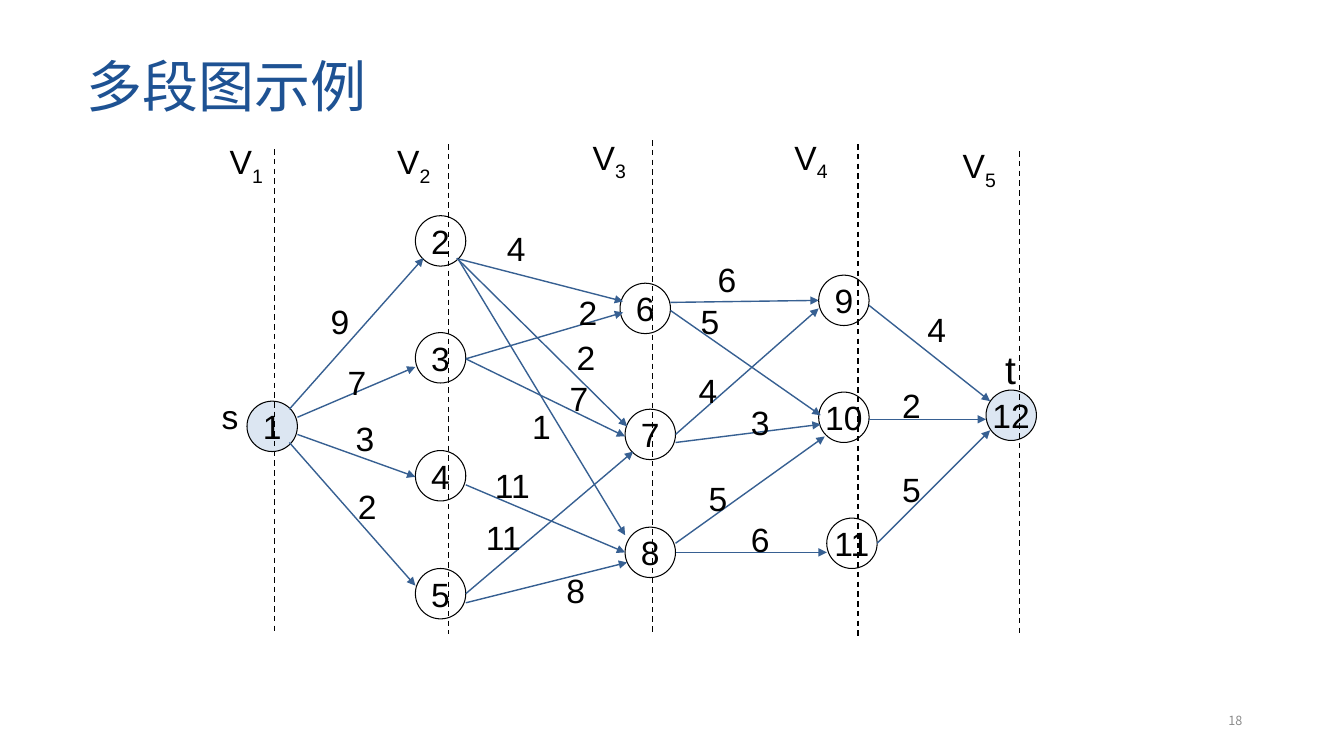
from dataclasses import dataclass
from typing import NamedTuple

from lxml.etree import SubElement
from pptx import Presentation
from pptx.dml.color import RGBColor
from pptx.enum.dml import MSO_LINE
from pptx.enum.shapes import MSO_CONNECTOR, MSO_SHAPE
from pptx.enum.text import MSO_ANCHOR, MSO_AUTO_SIZE, PP_ALIGN
from pptx.oxml.ns import qn
from pptx.shapes.connector import Connector
from pptx.slide import Slide
from pptx.text.text import TextFrame, _Paragraph, _Run
from pptx.util import Emu, Pt

EMU_PER_PX = 9144
NODE_SIZE = 50


@dataclass(frozen=True)
class Theme:
    ink: RGBColor = RGBColor(0x00, 0x00, 0x00)
    title: RGBColor = RGBColor(0x1E, 0x52, 0x93)
    edge: RGBColor = RGBColor(0x37, 0x60, 0x92)
    terminal: RGBColor = RGBColor(0xDC, 0xE6, 0xF2)
    muted: RGBColor = RGBColor(0x8C, 0x8C, 0x8C)
    latin_font: str = "Arial"
    chinese_font: str = "Noto Sans CJK SC"
    title_size: int = 40
    target_size: int = 28
    graph_size: int = 24
    number_size: int = 9
    outline: float = 0.75
    stroke: float = 1


THEME = Theme()


class Box(NamedTuple):
    left: int
    top: int
    width: int
    height: int


class Node(NamedTuple):
    name: str
    left: int
    top: int
    terminal: bool = False


class Edge(NamedTuple):
    start: tuple[int, int]
    end: tuple[int, int]
    weight: str
    label: tuple[int, int]


class Stage(NamedTuple):
    index: str
    label: tuple[int, int]
    divider: int
    top: int
    bottom: int = 629


NODES = [
    *(Node(str(2 + row), 412, 214 + row * 350 // 3) for row in range(4)),
    Node("6", 615, 281),
    Node("7", 620, 406),
    Node("8", 620, 523),
    Node("9", 812, 273),
    Node("10", 812, 389),
    Node("11", 820, 514),
    Node("1", 245, 398, True),
    Node("12", 978, 387, True),
]

EDGES = [
    Edge((287, 406), (420, 256), "9", (318, 294)),
    Edge((295, 414), (412, 364), "7", (335, 354)),
    Edge((295, 431), (412, 473), "3", (343, 410)),
    Edge((287, 439), (412, 581), "2", (345, 477)),
    Edge((455, 257), (618, 299), "4", (493, 221)),
    Edge((453, 256), (622, 423), "2", (562, 329)),
    Edge((455, 258), (620, 531), "1", (518, 398)),
    Edge((462, 356), (618, 310), "2", (564, 285)),
    Edge((462, 356), (620, 433), "7", (555, 370)),
    Edge((462, 481), (620, 548), "11", (481, 456)),
    Edge((462, 598), (622, 558), "8", (552, 560)),
    Edge((462, 589), (628, 448), "11", (472, 508)),
    Edge((665, 300), (812, 298), "6", (702, 252)),
    Edge((665, 308), (814, 412), "5", (685, 294)),
    Edge((670, 431), (812, 306), "4", (683, 362)),
    Edge((670, 439), (814, 421), "3", (735, 394)),
    Edge((670, 539), (818, 433), "5", (693, 469)),
    Edge((670, 548), (820, 548), "6", (735, 510)),
    Edge((862, 303), (982, 398), "4", (910, 302)),
    Edge((862, 416), (978, 416), "2", (885, 377)),
    Edge((870, 539), (982, 427), "5", (885, 460)),
]

STAGES = [
    Stage("1", (218, 135), 272, 148),
    Stage("2", (384, 135), 445, 143),
    Stage("3", (578, 131), 647, 139),
    Stage("4", (778, 131), 851, 143, 631),
    Stage("5", (945, 139), 1011, 150),
]


def px(length: int) -> Emu:
    return Emu(length * EMU_PER_PX)


def add_run(
    paragraph: _Paragraph,
    text: str,
    size: int = THEME.graph_size,
    color: RGBColor = THEME.ink,
    font: str = THEME.latin_font,
) -> _Run:
    run = paragraph.add_run()
    run.text = text
    run.font.size = Pt(size)
    run.font.color.rgb = color
    run.font.name = font
    return run


def add_text_frame(slide: Slide, box: Box, wrap: bool = False) -> TextFrame:
    frame = slide.shapes.add_textbox(*map(px, box)).text_frame
    frame.word_wrap = wrap
    if wrap:
        frame.vertical_anchor = MSO_ANCHOR.MIDDLE
    else:
        frame.auto_size = MSO_AUTO_SIZE.SHAPE_TO_FIT_TEXT
    return frame


def add_label(slide: Slide, text: str, box: Box, size: int = THEME.graph_size) -> None:
    add_run(add_text_frame(slide, box).paragraphs[0], text, size)


def add_line(slide: Slide, start: tuple[int, int], end: tuple[int, int], color: RGBColor) -> Connector:
    connector = slide.shapes.add_connector(MSO_CONNECTOR.STRAIGHT, *map(px, start + end))
    connector.line.color.rgb = color
    connector.line.width = Pt(THEME.stroke)
    SubElement(connector._element.spPr, qn("a:effectLst"))
    return connector


def add_node(slide: Slide, node: Node) -> None:
    box = Box(node.left, node.top, NODE_SIZE, NODE_SIZE)
    shape = slide.shapes.add_shape(MSO_SHAPE.OVAL, *map(px, box))
    shape.shadow.inherit = False
    if node.terminal:
        shape.fill.solid()
        shape.fill.fore_color.rgb = THEME.terminal
    else:
        shape.fill.background()
    shape.line.color.rgb = THEME.ink
    shape.line.width = Pt(THEME.outline)
    shape.text_frame.word_wrap = False
    shape.text_frame.vertical_anchor = MSO_ANCHOR.MIDDLE
    paragraph = shape.text_frame.paragraphs[0]
    paragraph.alignment = PP_ALIGN.CENTER
    add_run(paragraph, node.name)


def add_edge(slide: Slide, edge: Edge) -> None:
    connector = add_line(slide, edge.start, edge.end, THEME.edge)
    SubElement(connector.line._get_or_add_ln(), qn("a:tailEnd"), type="triangle")
    add_label(slide, edge.weight, Box(*edge.label, 23 + 16 * len(edge.weight), 51))


def add_stage(slide: Slide, stage: Stage) -> None:
    paragraph = add_text_frame(slide, Box(*stage.label, 55, 50)).paragraphs[0]
    add_run(paragraph, "V")
    subscript = add_run(paragraph, stage.index)
    subscript._r.get_or_add_rPr().set("baseline", "-25000")
    divider = add_line(slide, (stage.divider, stage.top), (stage.divider, stage.bottom), THEME.ink)
    divider.line.dash_style = MSO_LINE.DASH


def add_title(slide: Slide) -> None:
    paragraph = add_text_frame(slide, Box(76, 56, 900, 65), wrap=True).paragraphs[0]
    paragraph.line_spacing = 0.9
    run = add_run(paragraph, "多段图示例", THEME.title_size, THEME.title)
    SubElement(run._r.get_or_add_rPr(), qn("a:ea"), typeface=THEME.chinese_font)


def add_slide_number(slide: Slide) -> None:
    paragraph = add_text_frame(slide, Box(942, 695, 300, 40), wrap=True).paragraphs[0]
    paragraph.alignment = PP_ALIGN.RIGHT
    add_run(paragraph, "18", THEME.number_size, THEME.muted, THEME.chinese_font)


def main() -> None:
    presentation = Presentation()
    presentation.slide_width, presentation.slide_height = px(1333), px(750)
    slide = presentation.slides.add_slide(presentation.slide_layouts[6])
    add_title(slide)
    for node in NODES:
        add_node(slide, node)
    add_label(slide, "s", Box(210, 388, 37, 51))
    add_label(slide, "t", Box(987, 338, 31, 57), THEME.target_size)
    for edge in EDGES:
        add_edge(slide, edge)
    for stage in STAGES:
        add_stage(slide, stage)
    add_slide_number(slide)
    presentation.save("out.pptx")


if __name__ == "__main__":
    main()
